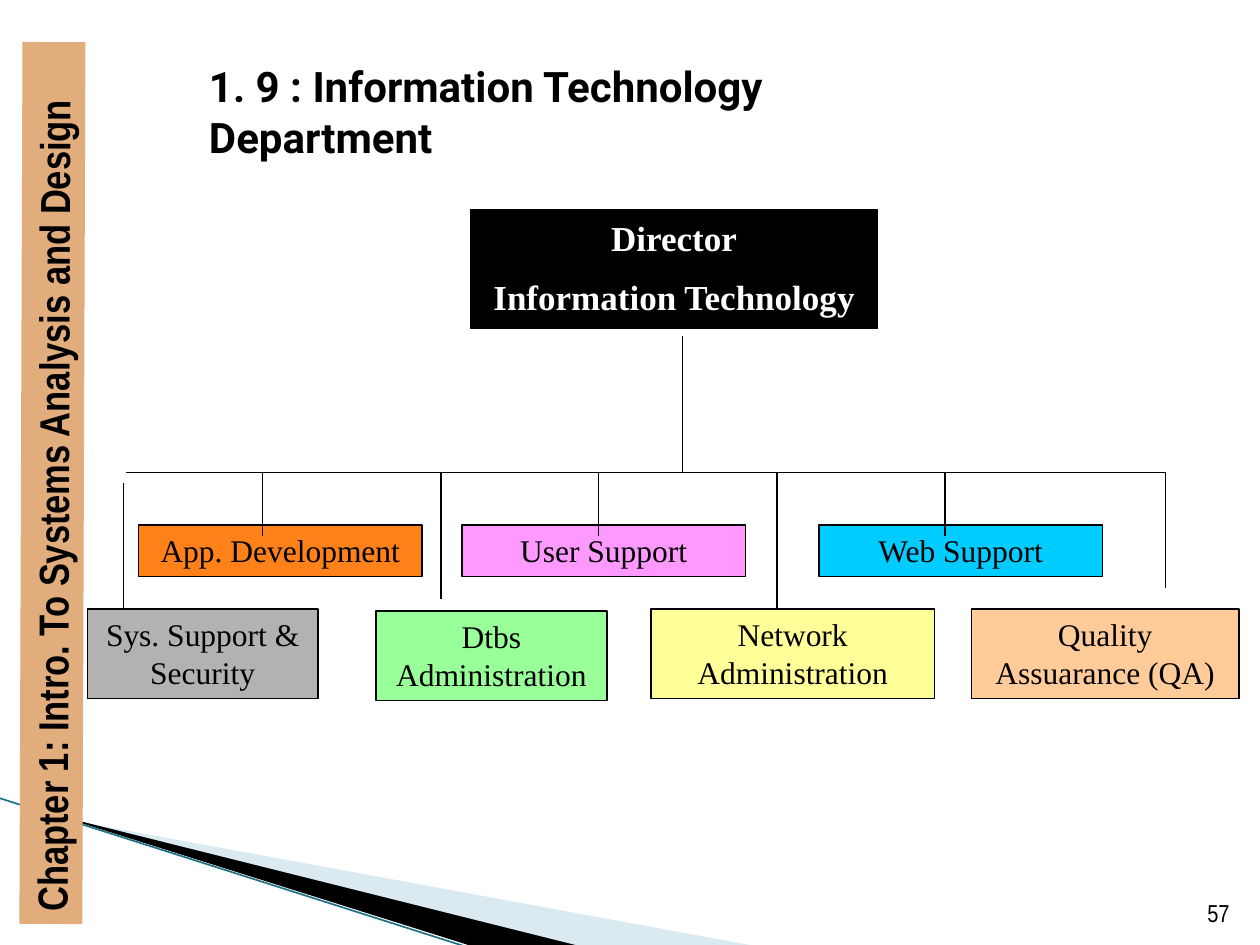
import pptx
import pptx.util
import pptx.dml.color
import pptx.enum.shapes
import pptx.enum.text
import pptx.oxml
import pptx.oxml.ns

COLORS = {
    "black": "000000", "white": "FFFFFF", "sidebar": "E2AD7C",
    "pale_blue": "A0CBDC", "teal": "1F7286", "orange": "FF8119",
    "cyan": "00CCFF", "pink": "FF99FF", "green": "99FF99",
    "yellow": "FFFF99", "peach": "FFCC99", "gray": "B2B2B2",
}
RGB = {name: pptx.dml.color.RGBColor.from_string(value) for name, value in COLORS.items()}
ALIGN = pptx.enum.text.PP_ALIGN
ANCHOR = pptx.enum.text.MSO_ANCHOR
RECTANGLE = pptx.enum.shapes.MSO_SHAPE.RECTANGLE
STRAIGHT = pptx.enum.shapes.MSO_CONNECTOR.STRAIGHT

presentation = pptx.Presentation()
presentation.slide_width = pptx.util.Inches(10)
presentation.slide_height = pptx.util.Inches(7.5)
column = presentation.slide_width / 120
row = presentation.slide_height / 90
slide = presentation.slides.add_slide(presentation.slide_layouts[5])


def write(shape, lines, font, color, align=ALIGN.CENTER, anchor=ANCHOR.TOP):
    frame = shape.text_frame
    frame.text = "\n".join(lines)
    frame.word_wrap = True
    frame.auto_size = pptx.enum.text.MSO_AUTO_SIZE.NONE
    frame.vertical_anchor = anchor
    for index, paragraph in enumerate(frame.paragraphs):
        paragraph.alignment = align
        paragraph.space_before = pptx.util.Pt(10 if index else 0)
        for name, value in font.items():
            setattr(paragraph.font, name, value)
        paragraph.font.color.rgb = RGB[color]


def draw_line(start_column, start_row, end_column, end_row, color="black", width=0.75):
    connector = slide.shapes.add_connector(
        STRAIGHT, round(start_column * column), round(start_row * row),
        round(end_column * column), round(end_row * row))
    connector.line.color.rgb = RGB[color]
    connector.line.width = pptx.util.Pt(width)
    properties = connector._element.spPr
    properties.append(pptx.oxml.parse_xml(
        f"<a:effectLst {pptx.oxml.ns.nsdecls('a')}/>"))


wedges = [
    ("pale_blue", [(6.6, 78.1), (71.4, 90), (54.7, 90), (6.6, 78)]),
    ("black", [(6.4, 77.9), (54.8, 90), (44.6, 90), (6.5, 78)]),
]
for color, corners in wedges:
    points = [(round(x * column), round(y * row)) for x, y in corners]
    builder = slide.shapes.build_freeform(*points[0])
    builder.add_line_segments(points[1:], close=True)
    wedge = builder.convert_to_shape()
    wedge.shadow.inherit = False
    wedge.fill.solid()
    wedge.fill.fore_color.rgb = RGB[color]
    wedge.line.fill.background()
    if color == "pale_blue":
        fill_color = wedge._element.spPr.find(".//" + pptx.oxml.ns.qn("a:srgbClr"))
        fill_color.append(pptx.oxml.parse_xml(
            f"<a:alpha {pptx.oxml.ns.nsdecls('a')} val='40000'/>"))

draw_line(-0.1, 76, 44.5, 90.2, "teal", 0.95)

title = slide.shapes.title
title.left, title.top = round(18.7 * column), round(5.2 * row)
title.width, title.height = round(76.3 * column), round(6.1 * row)
title_font = {"name": "Roboto", "size": pptx.util.Pt(24), "bold": True}
write(title, ["1. 9 : Information Technology Department"], title_font, "black", ALIGN.LEFT)

sidebar_font = {"name": "Arial Narrow", "size": pptx.util.Pt(24), "bold": True}
director_font = {"name": "Times New Roman", "size": pptx.util.Pt(20), "bold": True}
unit_font = {"name": "Times New Roman", "size": pptx.util.Pt(18), "bold": False}
boxes = [
    (["Chapter 1: Intro. To Systems Analysis and Design"], "sidebar", -37, 43, 84, 6, sidebar_font),
    (["Director", "Information Technology"], "black", 44.8, 20, 38.8, 11.3, director_font),
    (["App. Development"], "orange", 13.2, 50, 27, 4.9, unit_font),
    (["Web Support"], "cyan", 78, 50, 27, 4.9, unit_font),
    (["User Support"], "pink", 44, 50, 27, 4.9, unit_font),
    (["Dtbs Administration"], "green", 35.8, 58.2, 22, 8.5, unit_font),
    (["Network Administration"], "yellow", 62, 58, 27, 8.5, unit_font),
    (["Quality Assuarance (QA)"], "peach", 92.5, 58, 25.5, 8.5, unit_font),
    (["Sys. Support & Security"], "gray", 8.3, 58, 22, 8.5, unit_font),
]
for lines, color, left, top, width, height, font in boxes:
    box = slide.shapes.add_shape(
        RECTANGLE, round(left * column), round(top * row),
        round(width * column), round(height * row))
    box.shadow.inherit = False
    box.fill.solid()
    box.fill.fore_color.rgb = RGB[color]
    if color == "sidebar":
        box.rotation = 270.2
        box.line.fill.background()
        write(box, lines, font, "black", ALIGN.LEFT)
    else:
        box.line.color.rgb = RGB["black"]
        box.line.width = pptx.util.Pt(0.75)
        write(box, lines, font, "white" if color == "black" else "black")

draw_line(65, 32, 65, 45)
draw_line(12, 45, 111, 45)
drops = [(25, 45, 51), (57, 45, 51), (42, 45, 57), (74, 45, 58),
         (90, 45, 51), (111, 45, 56), (11.75, 46, 58)]
for position, start, end in drops:
    draw_line(position, start, position, end)

page_number = slide.shapes.add_textbox(
    round(113.5 * column), round(84.1 * row), round(4.8 * column), round(4.8 * row))
number_font = {"name": "Arial Narrow", "size": pptx.util.Pt(14), "bold": False}
write(page_number, ["57"], number_font, "black", ALIGN.RIGHT, ANCHOR.BOTTOM)

presentation.save("out.pptx")
